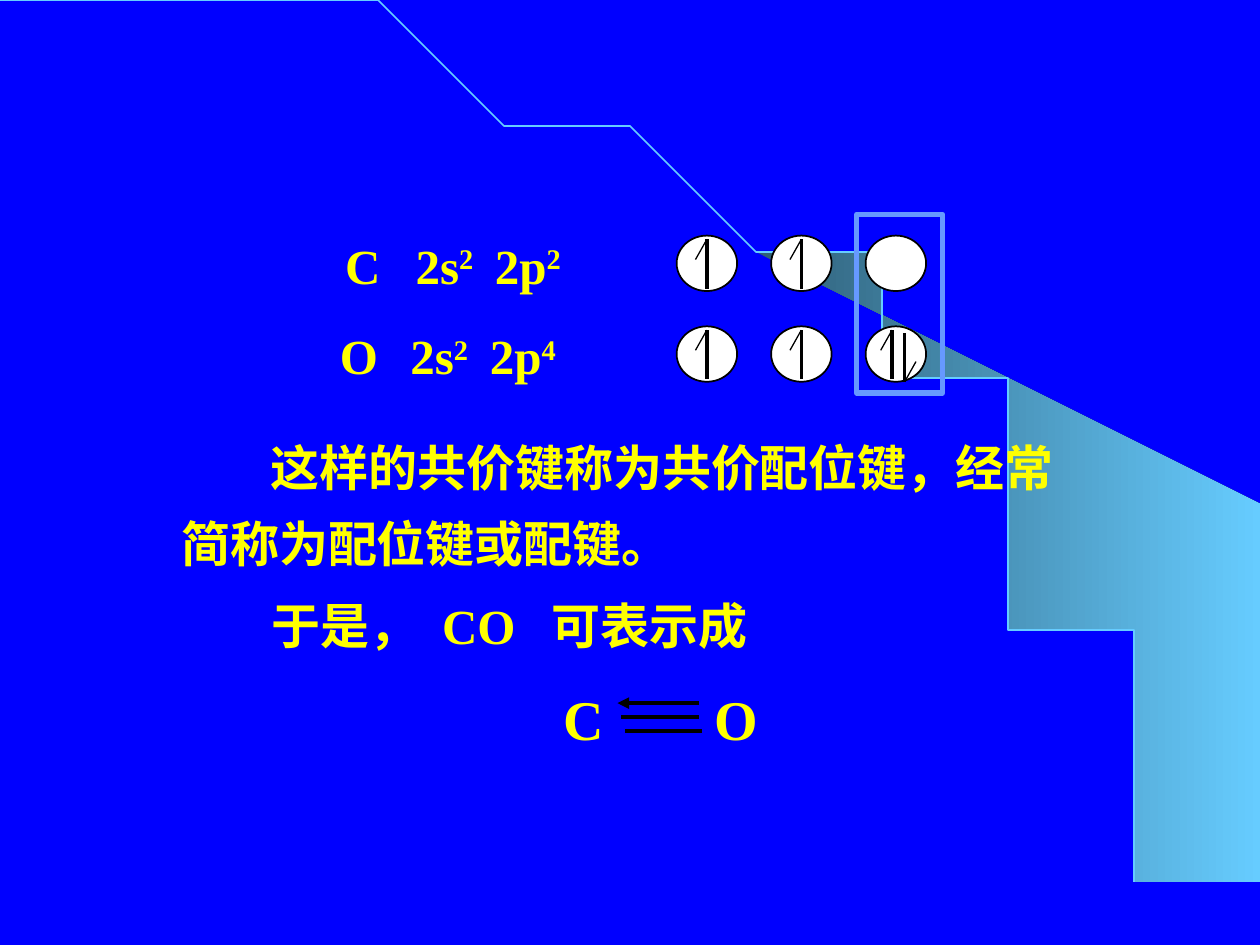
import math
import pptx
import pptx.util
import pptx.dml.color
import pptx.enum.shapes
import pptx.enum.text
import pptx.oxml
from lxml import etree
from pptx.util import Inches

BLUE = pptx.dml.color.RGBColor(0x00, 0x00, 0xFF)
SKY = pptx.dml.color.RGBColor(0x66, 0xCC, 0xFF)
TEAL = pptx.dml.color.RGBColor(0x2F, 0x5E, 0x76)
FRAME_BLUE = pptx.dml.color.RGBColor(0x66, 0x99, 0xFF)
YELLOW = pptx.dml.color.RGBColor(0xFF, 0xFF, 0x00)
WHITE = pptx.dml.color.RGBColor(0xFF, 0xFF, 0xFF)
BLACK = pptx.dml.color.RGBColor(0x00, 0x00, 0x00)
A = "{http://schemas.openxmlformats.org/drawingml/2006/main}"

deck = pptx.Presentation()
deck.slide_width, deck.slide_height = Inches(10), Inches(7.5)
slide = deck.slides.add_slide(deck.slide_layouts[6])
slide.background.fill.solid()
slide.background.fill.fore_color.rgb = BLUE


def draw_line(x1, y1, x2, y2, weight):
    stroke = slide.shapes.add_connector(
        pptx.enum.shapes.MSO_CONNECTOR.STRAIGHT,
        Inches(x1), Inches(y1), Inches(x2), Inches(y2))
    stroke.line.color.rgb = BLACK
    stroke.line.width = pptx.util.Pt(weight)
    etree.SubElement(stroke._element.spPr, A + "effectLst")
    return stroke


def write_text(box, paragraphs, size=28, tabs=(), frame_format=None, paragraph_format=None, indent=0):
    frame = slide.shapes.add_textbox(*[Inches(length) for length in box]).text_frame
    for name, value in {"word_wrap": True, **(frame_format or {})}.items():
        setattr(frame, name, value)
    for index, pieces in enumerate(paragraphs):
        paragraph = frame.paragraphs[0] if index == 0 else frame.add_paragraph()
        properties = paragraph._p.get_or_add_pPr()
        if index == 0 and indent:
            properties.set("indent", str(Inches(indent)))
        if tabs:
            stops = etree.SubElement(properties, A + "tabLst")
            for stop in tabs:
                etree.SubElement(stops, A + "tab", pos=str(Inches(stop)), algn="l")
        for name, value in (paragraph_format or {}).items():
            setattr(paragraph, name, value)
        for position, piece in enumerate(pieces):
            run = paragraph.add_run()
            run.text = piece
            font_format = {"name": "Times New Roman", "size": pptx.util.Pt(size), "bold": True}
            for name, value in font_format.items():
                setattr(run.font, name, value)
            run.font.color.rgb = YELLOW
            if position % 2:
                run._r.get_or_add_rPr().set("baseline", "30000")


ARC_WIDTH, ARC_HEIGHT = 9.2, 7.49
WEDGE_START = math.asin(5.89 / ARC_WIDTH)
arc_spans = {"sweep": (0, 60), "wedge": (WEDGE_START, 30)}
curves = {}
for part, (start, steps) in arc_spans.items():
    angles = [start + (math.pi / 2 - start) * i / steps for i in range(steps + 1)]
    curves[part] = [(ARC_WIDTH * math.sin(a), ARC_HEIGHT * (1 - math.cos(a))) for a in angles]
curves["wedge"] += [(9.99, 7.49), (9.99, 4.23)]

for part in ("wedge", "sweep"):
    outline = slide.shapes.build_freeform(*curves[part][0], scale=Inches(1))
    outline.add_line_segments(curves[part][1:], close=part == "wedge")
    curve = outline.convert_to_shape()
    curve.shadow.inherit = False
    if part == "wedge":
        curve.fill.gradient()
        curve.fill.gradient_angle = 0
        for stop, colour, position in zip(curve.fill.gradient_stops, (TEAL, SKY), (0, 1)):
            stop.color.rgb, stop.position = colour, position
        curve.line.fill.background()
    else:
        curve.fill.background()
        curve.line.color.rgb = SKY
        curve.line.width = pptx.util.Pt(1)

atoms = [
    (["C\t2s", "2", "\t2p", "2"], 2.74, 1.87, ["up", "up", "empty"]),
    (["O\t2s", "2", "\t2p", "4"], 2.70, 2.59, ["up", "up", "pair"]),
]
spins = {"empty": [], "up": [(0, 1)], "pair": [(-0.03, 1), (0.07, -1)]}
for configuration, left, top, orbitals in atoms:
    write_text((left - 0.1, top - 0.09, 2.5, 0.64), [configuration], tabs=(0.56, 1.19),
               frame_format={"vertical_anchor": pptx.enum.text.MSO_ANCHOR.MIDDLE})
    for column, occupancy in enumerate(orbitals):
        orbital_left = 5.37 + 0.75 * column
        orbital = slide.shapes.add_shape(
            pptx.enum.shapes.MSO_SHAPE.OVAL,
            Inches(orbital_left), Inches(top), Inches(0.48), Inches(0.44))
        orbital.shadow.inherit = False
        orbital.fill.solid()
        orbital.fill.fore_color.rgb = WHITE
        orbital.line.color.rgb = BLACK
        orbital.line.width = pptx.util.Pt(1)
        for offset, direction in spins[occupancy]:
            x = orbital_left + 0.24 + offset
            tip = top + (0.03 if direction > 0 else 0.44)
            draw_line(x, tip, x, tip + 0.39 * direction, 2)
            draw_line(x, tip, x - 0.09 * direction, tip + 0.16 * direction, 0.75)

bond_frame = slide.shapes.add_shape(
    pptx.enum.shapes.MSO_SHAPE.RECTANGLE, Inches(6.8), Inches(1.7), Inches(0.68), Inches(1.42))
bond_frame.shadow.inherit = False
bond_frame.fill.background()
bond_frame.line.color.rgb = FRAME_BLUE
bond_frame.line.width = pptx.util.Pt(3)

spaced = {"line_spacing": 1.3}
write_text((1.34, 3.28, 7.88, 1.32),
           [["这样的共价键称为共价配位键，经常"], ["简称为配位键或配键。"]],
           paragraph_format={**spaced, "alignment": pptx.enum.text.PP_ALIGN.JUSTIFY}, indent=0.71)
write_text((2.06, 4.54, 5.12, 0.8), [["于是，\tCO\t可表示成"]],
           tabs=(1.35, 2.22), paragraph_format=spaced)

draw_line(4.93, 5.69, 5.55, 5.69, 2)
draw_line(4.96, 5.8, 5.57, 5.8, 2)
coordinate_bond = draw_line(5.55, 5.58, 4.9, 5.58, 2.25)
etree.SubElement(coordinate_bond.line._get_or_add_ln(), A + "tailEnd", type="triangle")
write_text((4.37, 5.22, 2.08, 0.8), [["C\tO"]], size=32, tabs=(1.2,), paragraph_format=spaced)

deck.save("out.pptx")
